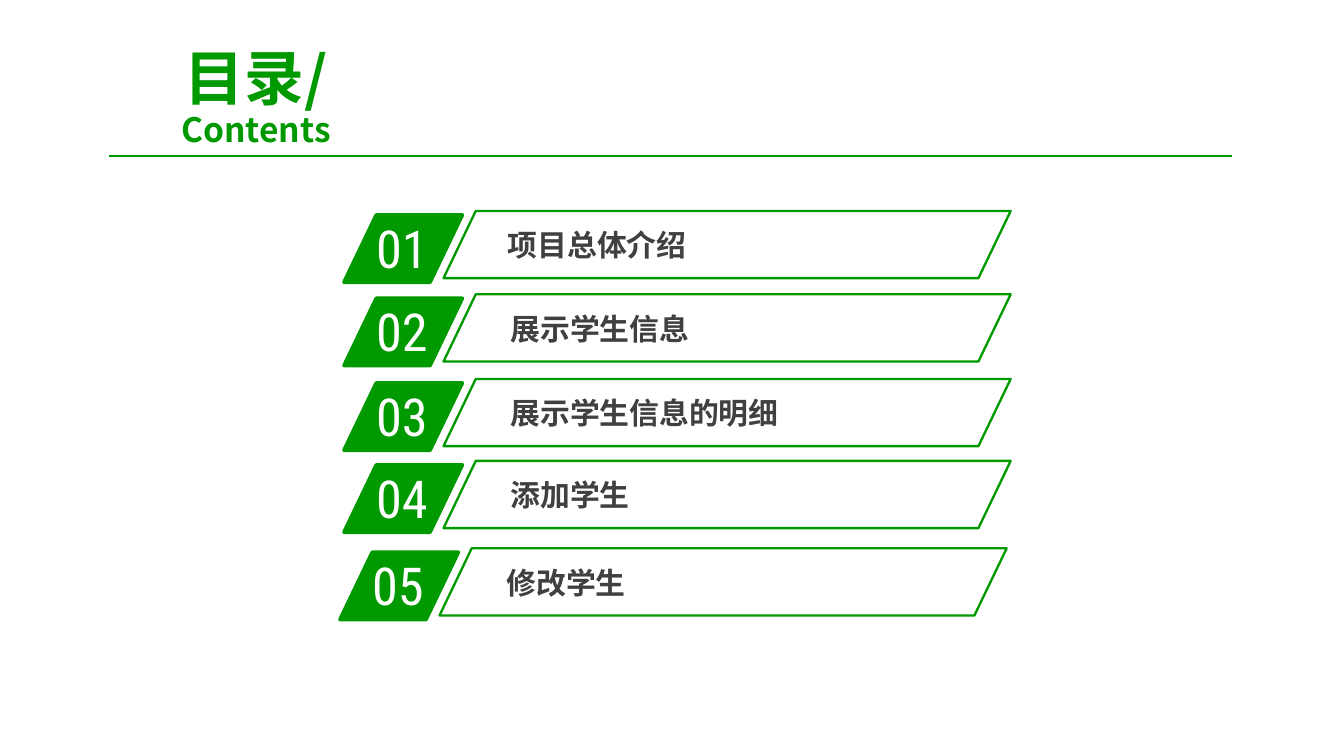
from lxml import etree
from pptx import Presentation
from pptx import util as u
from pptx.dml.color import RGBColor
from pptx.enum import shapes, text
from pptx.oxml.ns import qn

GREEN = RGBColor(0x00, 0x99, 0x00)
GREY = RGBColor(0x40, 0x40, 0x40)
WHITE = RGBColor(0xFF, 0xFF, 0xFF)
SANS = "Noto Sans CJK SC"
THIN = "Roboto Condensed"

HEAD = {"size": u.Pt(32), "name": SANS, "bold": True}
SUB = {**HEAD, "size": u.Pt(18)}
MARK = {"size": u.Pt(28), "name": THIN, "bold": False}
ITEM = {"size": u.Pt(16), "name": SANS, "bold": True}
TIGHT = {"margin_left": u.Inches(0.07), "margin_right": u.Inches(0.07),
         "margin_top": u.Inches(0.04), "margin_bottom": u.Inches(0.04)}

ROWS = [
    (2.56, 1.57, "项目总体介绍"),
    (2.56, 2.19, "展示学生信息"),
    (2.56, 2.82, "展示学生信息的明细"),
    (2.56, 3.43, "添加学生"),
    (2.53, 4.08, "修改学生"),
]


def apply(obj, vals):
    for key, val in vals.items():
        setattr(obj, key, val)


def place(shape, *box):
    apply(shape, dict(zip(("left", "top", "width", "height"), map(u.Inches, box))))


def write(para, words, font, color):
    run = para.add_run()
    run.text = words
    apply(run.font, font)
    run.font.color.rgb = color
    east = etree.SubElement(run.font._element, qn("a:ea"))
    east.set("typeface", font["name"])


def header(slide, left, top, width, height):
    title = slide.shapes.title
    place(title, left, top, width, height)
    frame = title.text_frame
    apply(frame, {"word_wrap": True, "auto_size": text.MSO_AUTO_SIZE.NONE,
                  "vertical_anchor": text.MSO_ANCHOR.MIDDLE})
    para = frame.paragraphs[0]
    apply(para, {"alignment": text.PP_ALIGN.CENTER, "line_spacing": 0.9,
                 "space_before": u.Pt(6)})
    write(para, "目录/", HEAD, GREEN)
    para.add_line_break()
    write(para, "Contents", SUB, GREEN)


def rule(slide, left, top, width):
    line = slide.shapes.add_connector(
        shapes.MSO_CONNECTOR.STRAIGHT, u.Inches(left), u.Inches(top),
        u.Inches(left + width), u.Inches(top))
    line.line.color.rgb = GREEN
    line.line.width = u.Pt(0.75)
    etree.SubElement(line._element.spPr, qn("a:effectLst"))


def slant(slide, box, weight, solid):
    shape = slide.shapes.add_shape(
        shapes.MSO_SHAPE.PARALLELOGRAM, *map(u.Inches, box))
    shape.adjustments[0] = 0.48
    shape.shadow.inherit = False
    if solid:
        shape.fill.solid()
        shape.fill.fore_color.rgb = GREEN
    else:
        shape.fill.background()
    shape.line.color.rgb = GREEN
    shape.line.width = u.Pt(weight)


def label(slide, box, words, font, color, inset):
    frame = slide.shapes.add_textbox(*map(u.Inches, box)).text_frame
    apply(frame, {"word_wrap": True, **inset})
    write(frame.paragraphs[0], words, font, color)


def entry(slide, left, top, num, words):
    slant(slide, (left, top + 0.03, 0.88, 0.5), 2, True)
    label(slide, (left + 0.14, top - 0.01, 0.84, 0.57), f"{num:02}", MARK, WHITE, {})
    shift = 1.15 if num == 1 else 1.17
    label(slide, (left + shift, top + 0.08, 3.37, 0.35), words, ITEM, GREY, TIGHT)
    slant(slide, (left + 0.74, top, 4.22, 0.5), 1.25, False)


def main():
    deck = Presentation()
    deck.slide_width = u.Inches(10)
    deck.slide_height = deck.slide_width * 9 // 16
    slide = deck.slides.add_slide(deck.slide_layouts.get_by_name("Title Only"))
    header(slide, 0.67, 0.47, 2.47, 0.54)
    rule(slide, 0.81, 1.16, 8.36)
    for num, (left, top, words) in enumerate(ROWS, 1):
        entry(slide, left, top, num, words)
    deck.save("out.pptx")


if __name__ == "__main__":
    main()
